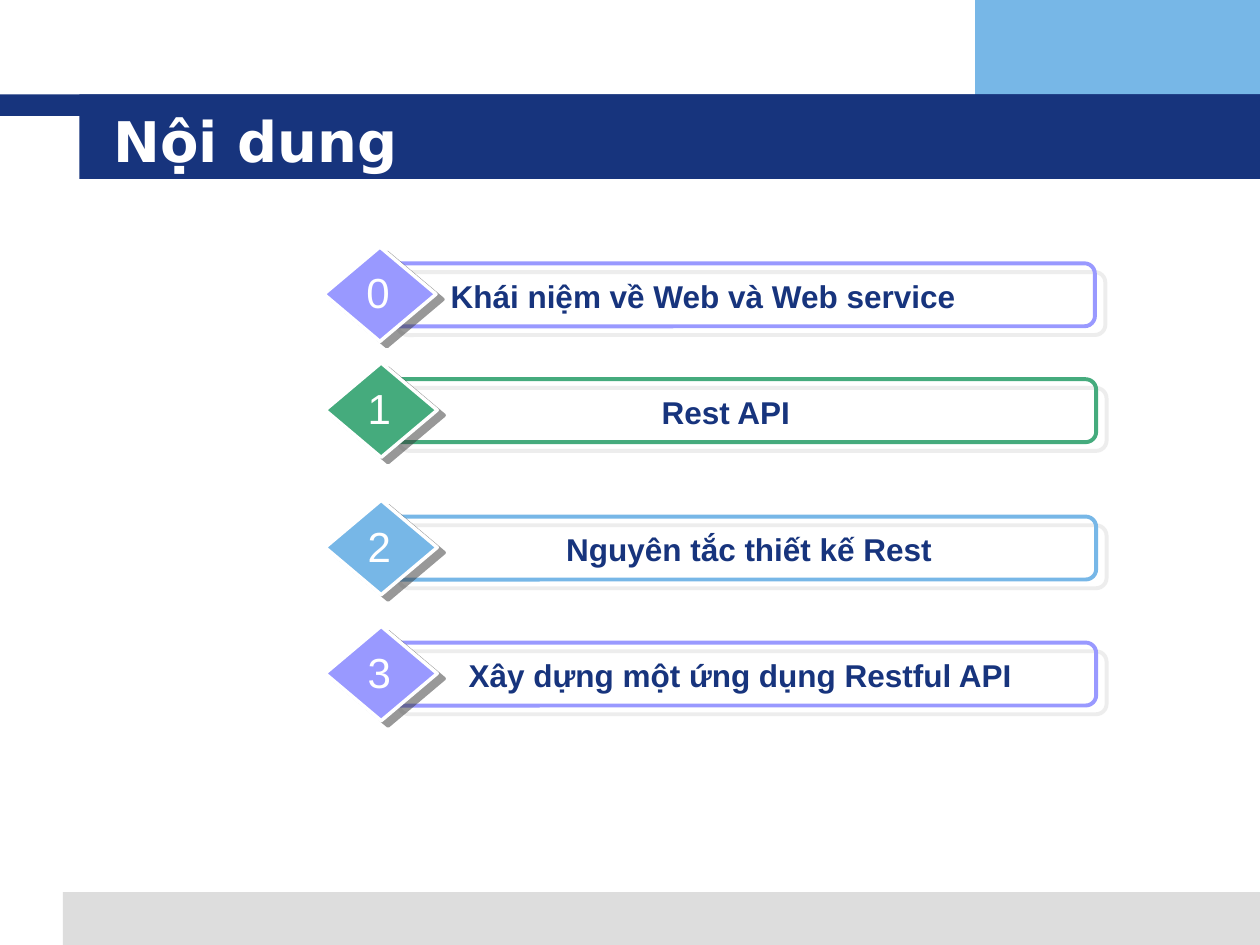
from lxml import etree
from pptx import Presentation, util as u
from pptx.dml.color import RGBColor
from pptx.enum import shapes, text
from pptx.oxml import ns

COLORS = {
    "navy": "17347D", "sky": "77B7E7", "gray": "DDDDDD", "green": "45AB7D",
    "violet": "9999FF", "white": "FFFFFF", "dark": "333333",
}
LABEL = {"size": u.Pt(18), "bold": True, "name": "Arial"}
NUMBER = {"size": u.Pt(24), "bold": False, "name": "Arial"}
TITLE = {"size": u.Pt(32), "bold": True, "name": "DejaVu Sans"}
BANDS = [
    (7.74, 0, 2.26, 0.92, "sky"),
    (0.5, 7.08, 9.5, 0.42, "gray"),
    (0, 0.75, 10, 0.17, "navy"),
    (0.63, 0.75, 9.37, 0.67, "navy"),
]
ROWS = [
    (3.07, 2.09, 4.44, "violet", "Khái niệm về Web và Web service"),
    (3.08, 3.01, 4.78, "green", "Rest API"),
    (3.08, 4.1, 5.15, "sky", "Nguyên tắc thiết kế Rest"),
    (3.08, 5.1, 5.01, "violet", "Xây dựng một ứng dụng Restful API"),
]


def rgb(name):
    return RGBColor.from_string(COLORS[name])


class Deck:
    def __init__(self):
        self.prs = Presentation()
        self.prs.slide_width, self.prs.slide_height = u.Inches(10), u.Inches(7.5)
        self.s = self.prs.slides.add_slide(self.prs.slide_layouts[5])

    def shape(self, parent, kind, box, fill=None, line=None, width=1):
        sp = parent.add_shape(kind, *map(u.Inches, box))
        sp.shadow.inherit = False
        if fill:
            sp.fill.solid()
            sp.fill.fore_color.rgb = rgb(fill)
        else:
            sp.fill.background()
        if line:
            sp.line.color.rgb = rgb(line)
            sp.line.width = u.Pt(width)
        else:
            sp.line.fill.background()
        return sp

    def shadow(self, sp, color, dist, angle):
        effects = sp._element.spPr.find(ns.qn("a:effectLst"))
        outer = etree.SubElement(
            effects, ns.qn("a:outerShdw"), dist=str(u.Pt(dist)),
            dir=str(angle * 60000), algn="ctr", rotWithShape="0")
        clr = etree.SubElement(outer, ns.qn("a:srgbClr"), val=COLORS[color])
        etree.SubElement(clr, ns.qn("a:alpha"), val="50000")

    def add_text(self, tf, words, style, color, align):
        p = tf.paragraphs[0]
        p.alignment = align
        r = p.add_run()
        r.text = words
        for key, value in style.items():
            setattr(r.font, key, value)
        r.font.color.rgb = rgb(color)

    def textbox(self, parent, box, words, style, color, wrap=True):
        tf = parent.add_textbox(*map(u.Inches, box)).text_frame
        tf.word_wrap = wrap
        tf.auto_size = text.MSO_AUTO_SIZE.SHAPE_TO_FIT_TEXT
        self.add_text(tf, words, style, color, text.PP_ALIGN.CENTER)

    def title(self, box, words):
        sp = self.s.shapes.title
        sp.left, sp.top, sp.width, sp.height = map(u.Inches, box)
        tf = sp.text_frame
        tf.auto_size = text.MSO_AUTO_SIZE.NONE
        tf.vertical_anchor = text.MSO_ANCHOR.MIDDLE
        self.add_text(tf, words, TITLE, "white", text.PP_ALIGN.LEFT)
        self.s.shapes._spTree.append(sp._element)

    def row(self, number, left, top, label_width, color, label):
        group = self.s.shapes.add_group_shape().shapes
        bar = self.shape(group, shapes.MSO_SHAPE.ROUNDED_RECTANGLE,
                         (left, top, 5.62, 0.5), line=color, width=2.25)
        bar.adjustments[0] = 0.167
        self.shadow(bar, "gray", 7.8, 40)
        diamond = self.shape(group, shapes.MSO_SHAPE.DIAMOND,
                             (left - 0.5, top - 0.13, 0.89, 0.75),
                             color, "white", 2)
        self.shadow(diamond, "dark", 5, 37)
        self.textbox(group, (left + 0.29, top + 0.06, label_width, 0.4),
                     label, LABEL, "navy")
        self.textbox(group, (left - 0.26, top - 0.02, 0.38, 0.5),
                     str(number), NUMBER, "white", wrap=False)


def main():
    deck = Deck()
    for *box, color in BANDS:
        deck.shape(deck.s.shapes, shapes.MSO_SHAPE.RECTANGLE, box, color)
    deck.title((0.8, 0.8, 8.53, 0.62), "Nội dung")
    for number, row in enumerate(ROWS):
        deck.row(number, *row)
    deck.prs.save("out.pptx")


if __name__ == "__main__":
    main()
